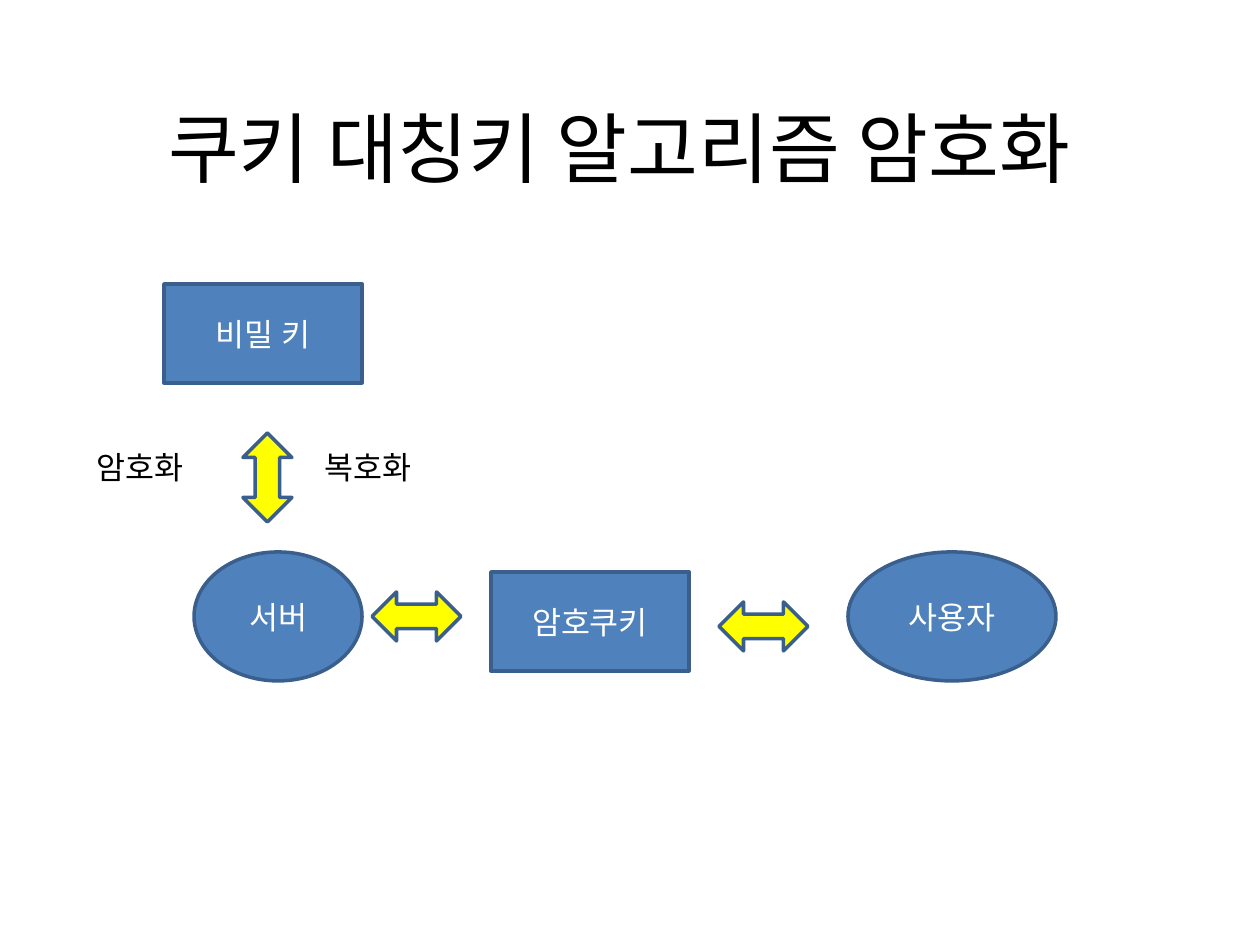
import pptx
import pptx.util
import pptx.dml.color
import pptx.enum.shapes
import pptx.enum.text
import pptx.oxml.ns
from lxml import etree

PX = 914400 // 126
FONT = "Noto Sans CJK KR"
SHAPES = pptx.enum.shapes.MSO_SHAPE
CENTER = pptx.enum.text.PP_ALIGN.CENTER
LEFT = pptx.enum.text.PP_ALIGN.LEFT
MIDDLE = pptx.enum.text.MSO_ANCHOR.MIDDLE


def rgb(value):
    return pptx.dml.color.RGBColor.from_string(value)


def write(frame, wording, size, color, align):
    frame.text = wording
    frame.word_wrap = True
    paragraph = frame.paragraphs[0]
    paragraph.alignment = align
    paragraph.font.size = pptx.util.Pt(size)
    paragraph.font.name = FONT
    paragraph.font.color.rgb = rgb(color)
    for properties in paragraph._p.iter(pptx.oxml.ns.qn("a:defRPr")):
        etree.SubElement(properties, pptx.oxml.ns.qn("a:ea"), typeface=FONT)


deck = pptx.Presentation()
deck.slide_width = pptx.util.Inches(10)
deck.slide_height = pptx.util.Inches(7.5)
slide = deck.slides.add_slide(deck.slide_layouts[5])

title = slide.shapes.title
title.left, title.top, title.width, title.height = [n * PX for n in (84, 45, 1071, 203)]
write(title.text_frame, "쿠키 대칭키 알고리즘 암호화", 44, "000000", CENTER)
title.text_frame.vertical_anchor = MIDDLE

nodes = [
    ("비밀 키", SHAPES.RECTANGLE, 164, 284, 198, 99),
    ("서버", SHAPES.OVAL, 194, 552, 168, 129),
    ("암호쿠키", SHAPES.RECTANGLE, 491, 572, 198, 99),
    ("사용자", SHAPES.OVAL, 848, 552, 208, 129),
]
arrows = [(243, 433, 0), (392, 572, 90), (739, 582, 90)]

parts = [(*node, 0, "4F81BD") for node in nodes]
parts += [("", SHAPES.UP_DOWN_ARROW, x, y, 49, 89, turn, "FFFF00") for x, y, turn in arrows]
for wording, outline, x, y, width, height, turn, fill in parts:
    part = slide.shapes.add_shape(outline, x * PX, y * PX, width * PX, height * PX)
    part.rotation = turn
    part.shadow.inherit = False
    part.fill.solid()
    part.fill.fore_color.rgb = rgb(fill)
    part.line.color.rgb = rgb("3A5F8C")
    part.line.width = pptx.util.Pt(2)
    if wording:
        write(part.text_frame, wording, 18, "FFFFFF", CENTER)
        part.text_frame.vertical_anchor = MIDDLE

for direction, x in (("암호화", 84), ("복호화", 312)):
    label = slide.shapes.add_textbox(x * PX, 442 * PX, 149 * PX, 50 * PX)
    write(label.text_frame, direction, 18, "000000", LEFT)
    label.text_frame.auto_size = pptx.enum.text.MSO_AUTO_SIZE.SHAPE_TO_FIT_TEXT

deck.save("out.pptx")
